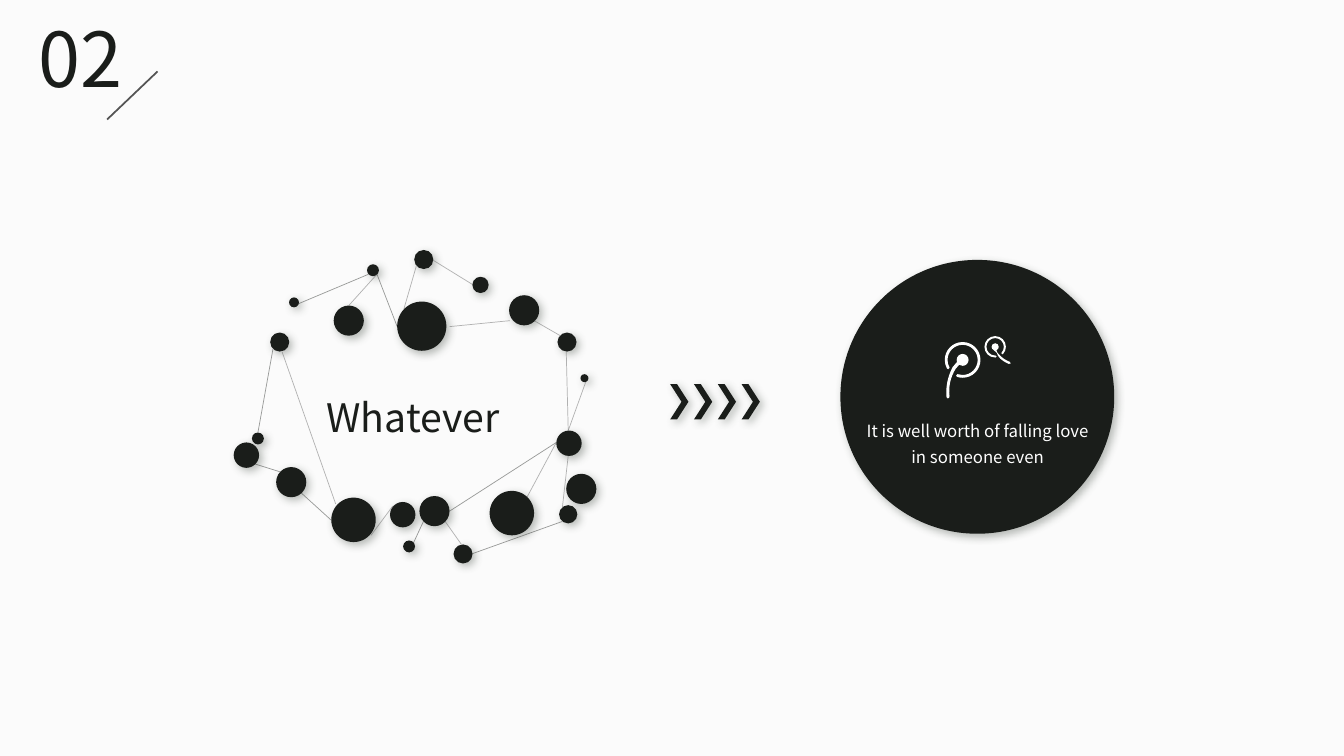
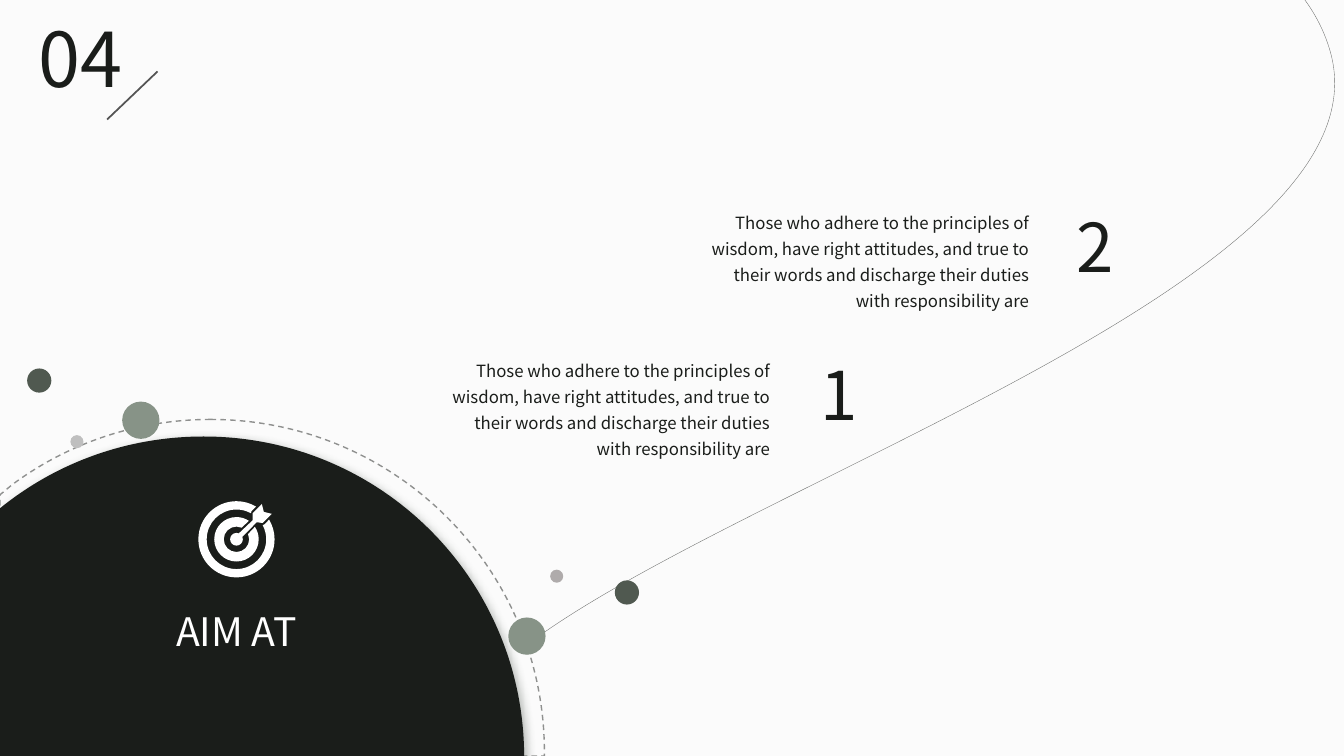
import math

from lxml import etree
from pptx import Presentation
from pptx import util as u
from pptx.dml.color import RGBColor
from pptx.enum import dml, shapes, text
from pptx.oxml import ns

FONT = "Noto Sans CJK SC"
PAPER, INK, GREY, WHITE = "FBFBFB", "1A1D1A", "545454", "FFFFFF"
MOSS, SAGE = "505950", "879387"
PRESET = shapes.MSO_SHAPE
ALIGN = text.PP_ALIGN

# Centre x, centre y, diameter
NODES = [
    (0.37, 5.37, 0.64), (4.31, 6.87, 0.64), (8.48, 6.86, 0.46), (8.5, 5.07, 0.64),
    (1.21, 2.52, 0.48), (1.57, 1.52, 0.25), (2.95, 1.98, 0.76), (3.56, 0.71, 0.3),
    (4.84, 0.44, 0.48), (6.27, 1.08, 0.41), (7.37, 1.72, 0.76), (8.45, 2.52, 0.48),
    (8.89, 3.43, 0.2), (4.79, 2.12, 1.24), (0.66, 4.95, 0.3), (1.5, 6.05, 0.76),
    (3.07, 7, 1.12), (4.47, 7.67, 0.3), (5.11, 6.78, 0.76), (5.83, 7.86, 0.48),
    (7.06, 6.83, 1.12), (8.81, 6.22, 0.76),
]
# Start x, start y, end x, end y
LINKS = {
    INK: [
        (8.18, 5.05, 5.49, 6.78), (8.33, 7.04, 6.07, 7.85), (2.51, 7.01, 1.75, 6.32),
        (0.66, 4.8, 1.04, 2.69), (3.45, 0.81, 1.5, 1.63), (1.22, 5.79, 0.58, 5.59),
        (4.83, 7.04, 4.47, 7.82), (3.66, 0.81, 4.17, 2.13),
    ],
    GREY: [
        (7.01, 1.98, 5.49, 2.13), (8.48, 4.75, 8.43, 2.77), (3.66, 0.81, 2.95, 1.6),
        (5.38, 7.04, 5.79, 7.62), (1.27, 2.77, 2.62, 6.6), (8.92, 3.53, 8.48, 4.75),
        (4.06, 6.65, 3.51, 7.39), (7.62, 1.98, 8.28, 2.36), (5.08, 0.46, 6.07, 1.07),
        (4.65, 0.61, 4.34, 1.68), (8.18, 5.05, 7.44, 6.43), (8.48, 5.38, 8.33, 6.71),
    ],
}
ARROW = [
    (0.41, -0.48), (0.41, -0.66), (0.64, -0.89), (0.69, -0.69),
    (0.89, -0.64), (0.66, -0.41), (0.51, -0.43),
]
PRINCIPLES = (
    "Those who adhere to the principles of wisdom, have right attitudes, and true to "
    "their words and discharge their duties with responsibility are"
)


def rgb(value):
    return RGBColor.from_string(value)


def add_xml(parent, tag, **attributes):
    return etree.SubElement(parent, ns.qn(tag), attributes)


def set_line(shape, colour, weight, alpha=100):
    shape.line.color.rgb = rgb(colour)
    shape.line.width = u.Pt(weight)
    if alpha < 100:
        tint = shape.line._ln.find(".//" + ns.qn("a:srgbClr"))
        add_xml(tint, "a:alpha", val=str(alpha * 1000))


def paint(shape, fill=None, shadow=False):
    """Fill a shape, leave its line off, and cast the soft shadow if asked."""
    shape.shadow.inherit = False
    shape.line.fill.background()
    if fill:
        shape.fill.solid()
        shape.fill.fore_color.rgb = rgb(fill)
    else:
        shape.fill.background()
    if shadow:
        effects = shape._element.spPr.find(ns.qn("a:effectLst"))
        outer = add_xml(effects, "a:outerShdw", blurRad=str(u.Pt(6)), dist=str(u.Pt(3)),
                        dir=str(45 * 60000), algn="tl", rotWithShape="0")
        add_xml(add_xml(outer, "a:srgbClr", val=MOSS), "a:alpha", val="40000")
    return shape


def add_preset(slide, preset, left, top, width, height, fill=None, shadow=False):
    shape = slide.shapes.add_shape(preset, u.Cm(left), u.Cm(top), u.Cm(width), u.Cm(height))
    return paint(shape, fill, shadow)


def add_dot(slide, x, y, diameter, fill, shadow=False):
    """Draw a circle around its centre."""
    return add_preset(slide, PRESET.OVAL, x - diameter / 2, y - diameter / 2,
                      diameter, diameter, fill, shadow)


def add_line(slide, x1, y1, x2, y2, colour, weight, alpha=100):
    line = slide.shapes.add_connector(shapes.MSO_CONNECTOR.STRAIGHT,
                                      u.Cm(x1), u.Cm(y1), u.Cm(x2), u.Cm(y2))
    set_line(line, colour, weight, alpha)
    add_xml(line._element.spPr, "a:effectLst")


def polar(radius, angle, x=0, y=0):
    turn = math.radians(angle)
    return x + radius * math.cos(turn), y + radius * math.sin(turn)


def arc(radius, start, end, x=0, y=0):
    """Give a line to the arc's start, then curves broken at each quarter turn."""
    low, high = sorted((start, end))
    quarters = [a for a in range(-720, 721, 90) if low < a < high]
    angles = sorted({start, end, *quarters}, reverse=start > end)
    steps = [[polar(radius, start, x, y)]]
    for a, b in zip(angles, angles[1:]):
        handle = radius * 4 / 3 * math.tan(math.radians(b - a) / 4)
        steps.append([polar(handle, a + 90, *polar(radius, a, x, y)),
                      polar(-handle, b + 90, *polar(radius, b, x, y)),
                      polar(radius, b, x, y)])
    return steps


def add_outline(slide, left, top, contours, closed=True, fill=None, shadow=False):
    """Draw contours whose steps hold one point (line) or three (Bézier curve)."""
    contours = [[[(u.Cm(left + x), u.Cm(top + y)) for x, y in step] for step in contour]
                for contour in contours]
    builder = slide.shapes.build_freeform(*contours[0][0][0])
    for i, (first, *steps) in enumerate(contours):
        if i:
            builder.move_to(*first[0])
        builder.add_line_segments([step[-1] for step in steps], close=closed)
    shape = builder.convert_to_shape()
    segments = list(shape._element.iter(ns.qn("a:lnTo")))
    for segment, step in zip(segments, [s for contour in contours for s in contour[1:]]):
        if len(step) == 3:
            curve = etree.Element(ns.qn("a:cubicBezTo"))
            for x, y in step:
                add_xml(curve, "a:pt", x=str(x - builder.shape_offset_x),
                        y=str(y - builder.shape_offset_y))
            segment.getparent().replace(segment, curve)
    return paint(shape, fill, shadow)


def add_text(slide, left, top, width, height, words, size, colour=INK,
             align=ALIGN.LEFT, spacing=None, wrap=True):
    frame = slide.shapes.add_textbox(u.Cm(left), u.Cm(top), u.Cm(width), u.Cm(height)).text_frame
    frame.word_wrap = wrap
    frame.auto_size = text.MSO_AUTO_SIZE.SHAPE_TO_FIT_TEXT
    paragraph = frame.paragraphs[0]
    paragraph.text = words
    paragraph.alignment = align
    if spacing:
        paragraph.line_spacing = spacing
    paragraph.font.name = FONT
    paragraph.font.size = u.Pt(size)
    paragraph.font.color.rgb = rgb(colour)


def add_numbered_slide(presentation, number):
    slide = presentation.slides.add_slide(presentation.slide_layouts[6])
    slide.background.fill.solid()
    slide.background.fill.fore_color.rgb = rgb(PAPER)
    add_text(slide, 0.71, 0.18, 2.9, 2.57, number, 54, align=ALIGN.JUSTIFY)
    add_line(slide, 3.97, 1.8, 2.7, 3.01, GREY, 1.25)
    return slide


def add_network(slide, left, top):
    for x, y, diameter in NODES:
        add_dot(slide, left + x, top + y, diameter, INK, shadow=True)
    for colour, links in LINKS.items():
        for x1, y1, x2, y2 in links:
            add_line(slide, left + x1, top + y1, left + x2, top + y2, colour, 0.5, 43)
    add_text(slide, left + 2.14, top + 3.68, 5.26, 1.45, "Whatever", 28, wrap=False)


def add_chevrons(slide, left, top, count=4, pitch=0.6):
    for i in range(count):
        chevron = add_preset(slide, PRESET.CHEVRON, left + i * pitch, top, 0.46, 0.89, INK, True)
        chevron.adjustments[0] = 0.623


def add_dandelion(slide, x, y, outer, inner, ring, dot, stem):
    """Draw an open ring with round ends, and a dot on a bent stem."""
    start, end = ring
    middle, cap = (outer + inner) / 2, (outer - inner) / 2
    band = (arc(outer, start, end)
            + arc(cap, end, end + 180, *polar(middle, end))[1:]
            + arc(inner, end, start)[1:]
            + arc(cap, start + 180, start + 360, *polar(middle, start))[1:])
    add_outline(slide, x, y, [band], fill=WHITE)
    add_outline(slide, x, y, [arc(*dot) + stem], fill=WHITE)


def add_disc(slide, left, top, diameter):
    circle = arc(diameter / 2, 180, 540, diameter / 2, diameter / 2)
    add_outline(slide, left, top, [circle], fill=INK, shadow=True)
    add_dandelion(slide, left + 3.08, top + 2.52, 0.45, 0.38, (151, 468), (0.15, 125, -200), [
        [(-0.18, 0.1), (-0.2, 0.13), (-0.25, 0.18)],
        [(-0.33, 0.33), (-0.43, 0.58), (-0.41, 0.91)],
        [(-0.41, 0.99), (-0.33, 0.99), (-0.33, 0.91)],
        [(-0.36, 0.66), (-0.3, 0.43), (-0.18, 0.23)],
    ])
    add_dandelion(slide, left + 3.9, top + 2.19, 0.27, 0.22, (87, 402), (0.09, 70, -245), [
        [(-0.01, 0.1), (0.02, 0.12), (0.04, 0.15)],
        [(0.06, 0.25), (0.17, 0.36), (0.34, 0.43)],
        [(0.39, 0.45), (0.42, 0.4), (0.37, 0.38)],
        [(0.24, 0.33), (0.14, 0.25), (0.06, 0.15)],
    ])
    add_text(slide, left + 0.31, top + 3.78, 6.3, 1.52,
             "It is well worth of falling love in someone even", 12, WHITE, ALIGN.CENTER, 1.3)


def add_sweep(slide, left, top):
    curve = [
        [(0, 0)],
        [(15.54, 0), (28.12, 4.66), (28.12, 10.39)],
        [(28.12, 16.13), (11.66, 16.94), (5.03, 19.41)],
    ]
    sweep = add_outline(slide, left, top, [curve], closed=False)
    set_line(sweep, INK, 0.25, 64)
    sweep.rotation = 345


def add_target(slide, x, y):
    arrow = [[point] for point in ARROW] + arc(0.16, -22, 292)
    outer = arc(0.96, -31, 301) + [[(0.38, -0.71)]] + arc(0.75, 299, -28) + [[(0.71, -0.38)]]
    inner = arc(0.56, -34, 304) + arc(0.32, 294, -24)
    add_outline(slide, x, y, [arrow, outer, inner], fill=WHITE)


def add_dome(slide, left, top):
    rim = [
        [(5.31, 0)], [(9.96, 0), (13.72, 3.76), (13.72, 8.38)],
        [(13.72, 8.48)], [(0, 8.48)], [(0, 1.9)], [(0.3, 1.65)],
        [(1.7, 0.61), (3.43, 0), (5.31, 0)],
    ]
    outline = add_outline(slide, left, top, [rim])
    set_line(outline, INK, 1, 48)
    outline.line.dash_style = dml.MSO_LINE.DASH
    body = [
        [(5.13, 0.43)], [(9.6, 0.43), (13.21, 4.04), (13.21, 8.51)],
        [(13.21, 8.71)], [(-0.81, 8.71)], [(-0.81, 3.02)], [(-0.61, 2.79)],
        [(0.86, 1.32), (2.9, 0.43), (5.13, 0.43)],
    ]
    add_outline(slide, left, top, [body], fill=INK, shadow=True)
    for x, y, diameter, fill in (
        (3.55, 0.02, 0.94, SAGE), (0.99, -0.98, 0.61, MOSS), (1.94, 0.56, 0.33, "BFBFBF"),
        (13.28, 5.46, 0.94, SAGE), (15.8, 4.36, 0.61, MOSS), (14.03, 3.95, 0.33, "AFABAB"),
    ):
        add_dot(slide, left + x, top + y, diameter, fill)
    add_text(slide, left + 3.33, top + 4.62, 5.26, 1.45, "AIM AT", 28, WHITE, ALIGN.CENTER)
    add_target(slide, left + 5.96, top + 3.02)


def add_principle(slide, left, top, number, number_offset):
    add_text(slide, left, top, 8.51, 2.92, PRINCIPLES, 12, align=ALIGN.RIGHT, spacing=1.3)
    add_text(slide, left + number_offset, top - 0.03, 2.54, 2.31, number, 48, align=ALIGN.CENTER)


def main():
    presentation = Presentation()
    presentation.slide_width, presentation.slide_height = u.Cm(33.87), u.Cm(19.05)

    slide = add_numbered_slide(presentation, "02")
    add_network(slide, 5.84, 6.1)
    add_chevrons(slide, 16.89, 9.68)
    add_disc(slide, 21.18, 6.55, 6.9)

    slide = add_numbered_slide(presentation, "04")
    add_sweep(slide, 5.72, -5.38)
    add_dome(slide, 0, 10.57)
    add_principle(slide, 17.68, 5.08, "2", 8.66)
    add_principle(slide, 11.15, 8.81, "1", 8.74)

    presentation.save("out.pptx")


if __name__ == "__main__":
    main()
